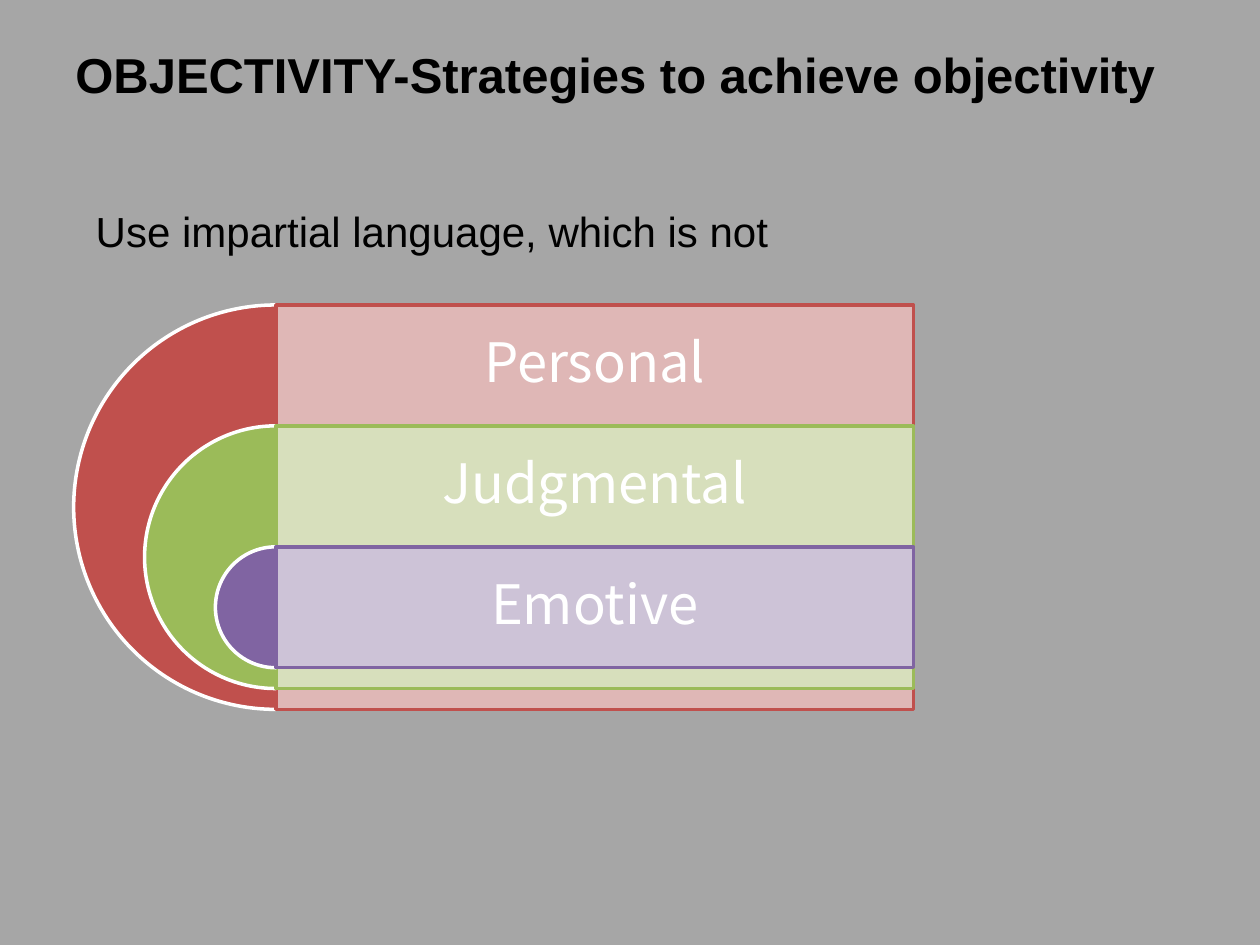
from dataclasses import dataclass

from lxml.etree import SubElement
from pptx import Presentation
from pptx.dml.color import RGBColor
from pptx.enum.shapes import MSO_SHAPE as Shape
from pptx.enum.text import MSO_ANCHOR as Anchor, PP_ALIGN as Align
from pptx.oxml.ns import qn
from pptx.util import Inches, Pt


@dataclass(frozen=True)
class Theme:
    background: str = "A6A6A6"
    ink: str = "000000"
    white: str = "FFFFFF"
    font: str = "Arial"
    label_font: str = "Noto Sans CJK KR"
    title_size: int = 28
    body_size: int = 24
    label_size: int = 31
    line_width: int = 2
    band_opacity: int = 90


THEME = Theme()

# label, strong colour, pale colour
BANDS = [
    ("Personal", "C0504D", "E6B9B8"),
    ("Judgmental", "9BBB59", "D7E4BD"),
    ("Emotive", "8064A2", "CCC1DA"),
]
CENTER_X, TOP, BAND_WIDTH = 2.19, 2.42, 5.06
ROW_HEIGHT, OUTER, INNER = 0.96, 3.21, 0.96


def rgb(color):
    return RGBColor.from_string(color)


def add_text(shapes, box, text, size, color=THEME.ink, font=THEME.font, bold=False,
             anchor=Anchor.TOP, align=Align.LEFT, spacing=1.0,
             insets=(0.1, 0.05, 0.1, 0.05)):
    tf = shapes.add_textbox(*map(Inches, box)).text_frame
    tf.word_wrap = True
    tf.vertical_anchor = anchor
    tf.margin_left, tf.margin_top, tf.margin_right, tf.margin_bottom = map(Inches, insets)
    p = tf.paragraphs[0]
    p.text = text
    p.alignment = align
    p.line_spacing = spacing
    p.font.name, p.font.size, p.font.bold = font, Pt(size), bold
    p.font.color.rgb = rgb(color)


def add_filled(shapes, kind, box, fill, line):
    sp = shapes.add_shape(kind, *map(Inches, box))
    sp.shadow.inherit = False
    sp.fill.solid()
    sp.fill.fore_color.rgb = rgb(fill)
    sp.line.color.rgb = rgb(line)
    sp.line.width = Pt(THEME.line_width)
    return sp


def set_opacity(sp, percent):
    color = sp.fill._xPr.find(qn("a:solidFill")).find(qn("a:srgbClr"))
    SubElement(color, qn("a:alpha")).set("val", str(percent * 1000))


def add_half_circle(shapes, top, diameter, color):
    box = (CENTER_X - diameter / 2, top, diameter, diameter)
    sp = add_filled(shapes, Shape.PIE, box, color, THEME.white)
    # 90 and 270 degrees, in units of 100000 / 60000 degrees
    sp.adjustments[0], sp.adjustments[1] = 54, 162


def add_nested_targets(slide):
    """Draw half circles that shrink by equal steps, each with a labelled band."""
    shapes = slide.shapes.add_group_shape().shapes
    step = (OUTER - INNER) / (len(BANDS) - 1)
    for i, (label, strong, pale) in enumerate(BANDS):
        top, diameter = TOP + i * ROW_HEIGHT, OUTER - i * step
        add_half_circle(shapes, top, diameter, strong)
        band = add_filled(shapes, Shape.RECTANGLE,
                          (CENTER_X, top, BAND_WIDTH, diameter), pale, strong)
        set_opacity(band, THEME.band_opacity)
        add_text(shapes, (CENTER_X, top, BAND_WIDTH, ROW_HEIGHT), label,
                 THEME.label_size, THEME.white, THEME.label_font,
                 anchor=Anchor.MIDDLE, align=Align.CENTER, spacing=0.9,
                 insets=(0.13,) * 4)


def main():
    prs = Presentation()
    prs.slide_width, prs.slide_height = Inches(10), Inches(7.5)
    s = prs.slides.add_slide(prs.slide_layouts[6])
    s.background.fill.solid()
    s.background.fill.fore_color.rgb = rgb(THEME.background)
    add_text(s.shapes, (0.5, 0, 9.88, 1.17),
             "OBJECTIVITY-Strategies to achieve objectivity",
             THEME.title_size, bold=True, anchor=Anchor.MIDDLE)
    add_text(s.shapes, (0.33, 1.58, 9.08, 5.17),
             "Use impartial language, which is not",
             THEME.body_size, insets=(0.43, 0.05, 0.1, 0.05))
    add_nested_targets(s)
    prs.save("out.pptx")


if __name__ == "__main__":
    main()
